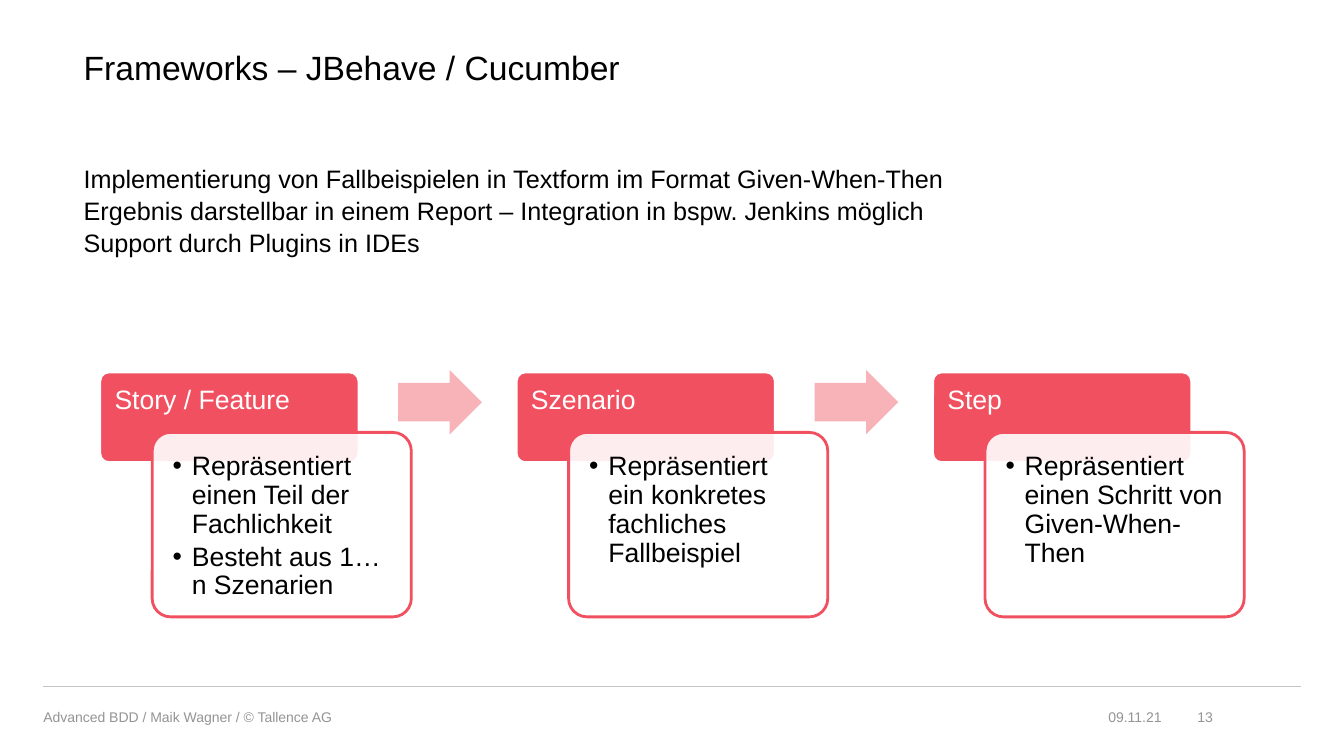
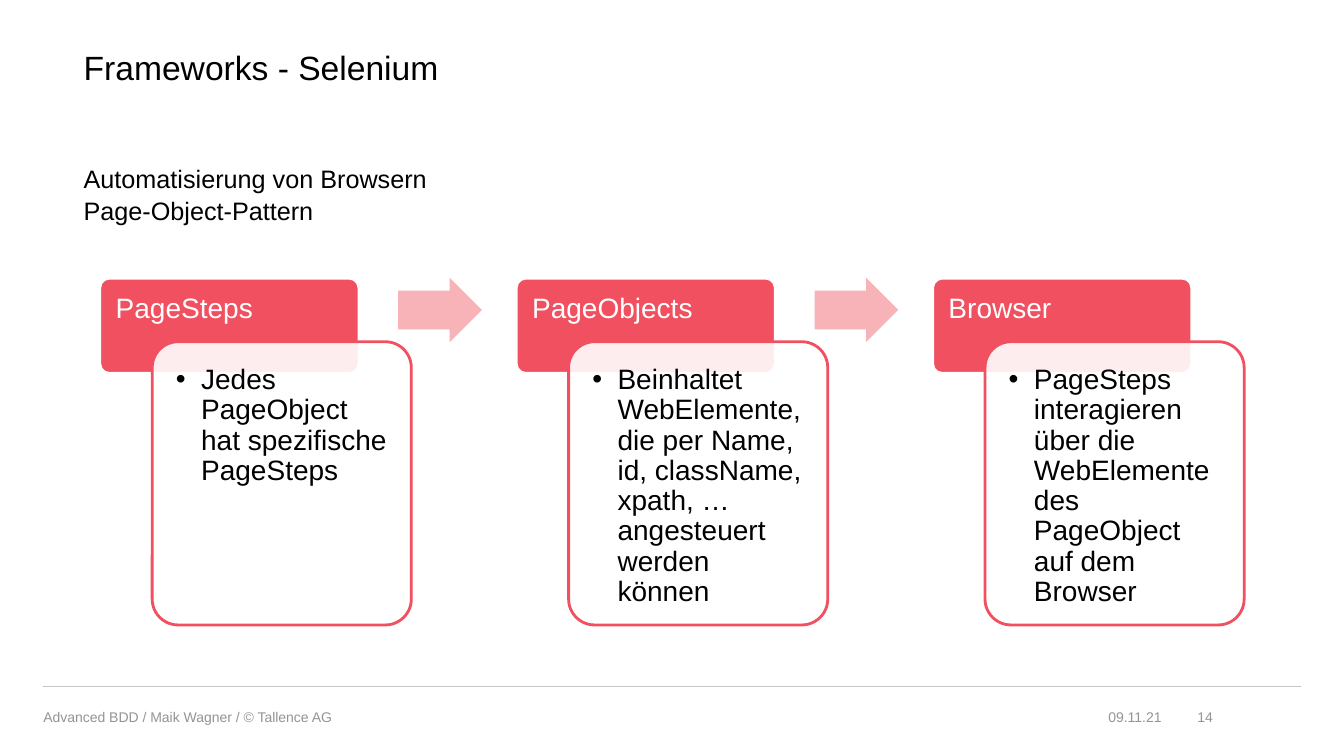
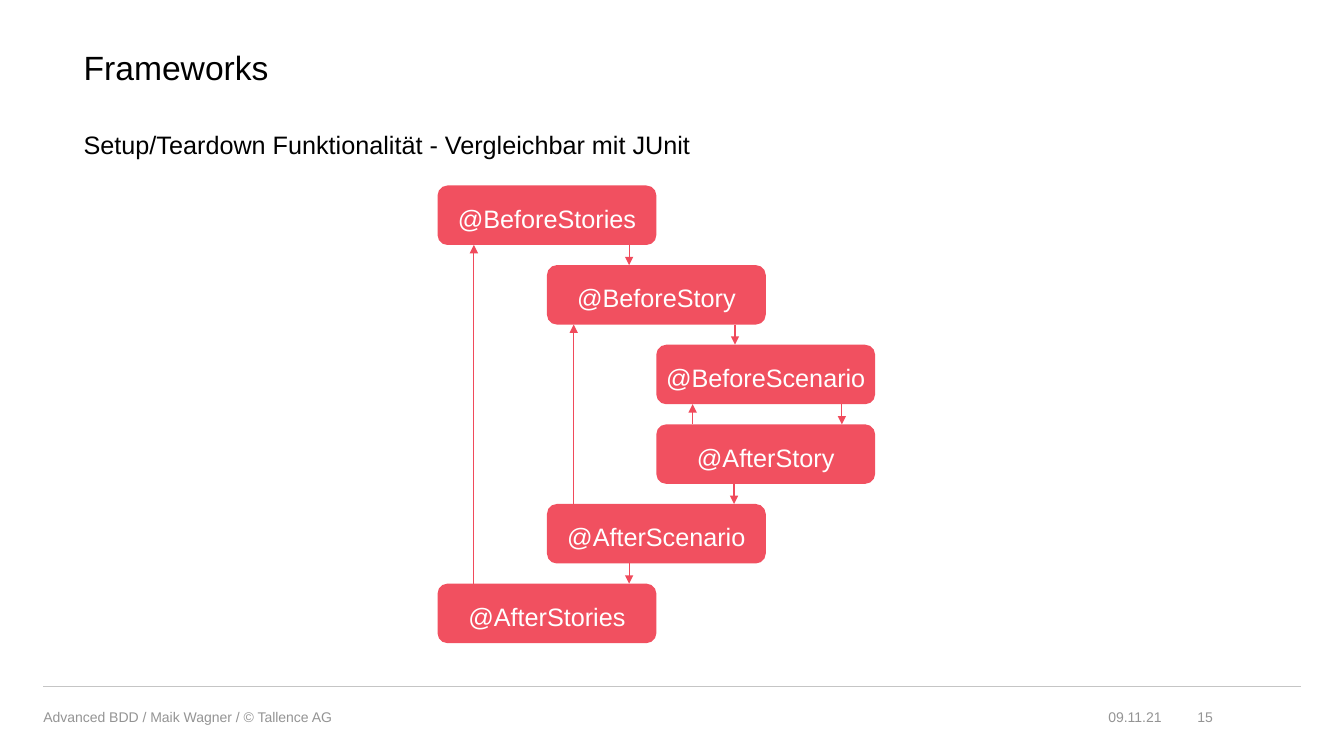
from lxml.etree import SubElement
from pptx import Presentation
from pptx.dml.color import RGBColor
from pptx.enum.shapes import MSO_CONNECTOR, MSO_SHAPE
from pptx.enum.text import MSO_ANCHOR, PP_ALIGN
from pptx.oxml.ns import qn
from pptx.util import Inches, Pt

# Shared style
FONT = "Arial"
BLACK = RGBColor(0x00, 0x00, 0x00)
WHITE = RGBColor(0xFF, 0xFF, 0xFF)
RED = RGBColor(0xF1, 0x50, 0x60)
PINK = RGBColor(0xF7, 0xB3, 0xB7)
ARROW_RED = RGBColor(0xF0, 0x4A, 0x5B)
RULE_GREY = RGBColor(0xC5, 0xC5, 0xC5)
FOOTER_GREY = RGBColor(0x94, 0x94, 0x94)
LEFT, MARGIN, RIGHT = 0.83, 0.43, 12.9
FOOTER = "Advanced BDD / Maik Wagner / © Tallence AG"
DATE = "09.11.21"
FIRST_NUMBER = 13

# Content: step flows are (heading, bullets) from left to right
SLIDES = [
    {"title": "Frameworks – JBehave / Cucumber",
     "body": ["Implementierung von Fallbeispielen in Textform im Format Given-When-Then",
              "Ergebnis darstellbar in einem Report – Integration in bspw. Jenkins möglich",
              "Support durch Plugins in IDEs"],
     "body_top": 1.61,
     "flow": [("Story / Feature", ["Repräsentiert einen Teil der Fachlichkeit",
                                   "Besteht aus 1…n Szenarien"]),
              ("Szenario", ["Repräsentiert ein konkretes fachliches Fallbeispiel"]),
              ("Step", ["Repräsentiert einen Schritt von Given-When-Then"])],
     "layout": {"top": 3.69, "lip": 0.6, "card_h": 1.83, "size": 19,
                "inset": 0.15, "indent": 0.19}},
    {"title": "Frameworks - Selenium",
     "body": ["Automatisierung von Browsern", "Page-Object-Pattern"],
     "body_top": 1.61,
     "flow": [("PageSteps", ["Jedes PageObject hat spezifische PageSteps"]),
              ("PageObjects", ["Beinhaltet WebElemente, die per Name, id, className, "
                               "xpath, … angesteuert werden können"]),
              ("Browser", ["PageSteps interagieren über die WebElemente des "
                           "PageObject auf dem Browser"])],
     "layout": {"top": 2.76, "lip": 0.63, "card_h": 2.81, "size": 20,
                "inset": 0.16, "indent": 0.25}},
    {"title": "Frameworks",
     "body": ["Setup/Teardown Funktionalität - Vergleichbar mit JUnit"],
     "body_top": 1.27,
     "hooks": True},
]

# Annotations by row, with their indent column
HOOKS = [("@BeforeStories", 0), ("@BeforeStory", 1), ("@BeforeScenario", 2),
         ("@AfterStory", 2), ("@AfterScenario", 1), ("@AfterStories", 0)]
# Arrows: from row, to row, x
HOOK_ARROWS = [(0, 1, 6.24), (1, 2, 7.29), (2, 3, 8.35), (3, 4, 7.28), (4, 5, 6.24),
               (5, 0, 4.7), (4, 1, 5.69), (3, 2, 6.87)]


def write(sp, lines, size=18, color=BLACK, align=PP_ALIGN.LEFT, anchor=MSO_ANCHOR.TOP,
          insets=(0, 0, 0, 0), spacing=1.0, after=0, indent=None):
    """Fill a shape with one paragraph per line; an indent adds bullets."""
    tf = sp.text_frame
    tf.word_wrap = True
    tf.vertical_anchor = anchor
    tf.margin_left, tf.margin_top, tf.margin_right, tf.margin_bottom = map(Inches, insets)
    for i, line in enumerate(lines):
        p = tf.paragraphs[0] if i == 0 else tf.add_paragraph()
        p.alignment, p.line_spacing, p.space_after = align, spacing, Pt(after)
        if indent:
            pPr = p._p.get_or_add_pPr()
            pPr.set("marL", str(Inches(indent)))
            pPr.set("indent", str(-Inches(indent)))
            SubElement(pPr, qn("a:buFont")).set("typeface", FONT)
            SubElement(pPr, qn("a:buChar")).set("char", "•")
        r = p.add_run()
        r.text = line
        r.font.name, r.font.size, r.font.color.rgb = FONT, Pt(size), color


def add_text(s, x, y, w, h, lines, **fmt):
    write(s.shapes.add_textbox(*map(Inches, (x, y, w, h))), lines, **fmt)


def add_box(s, kind, x, y, w, h, fill, line=None, adjust=(), opacity=None):
    sp = s.shapes.add_shape(kind, *map(Inches, (x, y, w, h)))
    sp.shadow.inherit = False
    for i, value in enumerate(adjust):
        sp.adjustments[i] = value
    sp.fill.solid()
    sp.fill.fore_color.rgb = fill
    if opacity:
        clr = sp.fill._xPr.find(".//" + qn("a:srgbClr"))
        SubElement(clr, qn("a:alpha")).set("val", str(opacity * 1000))
    if line is None:
        sp.line.fill.background()
    else:
        sp.line.color.rgb, sp.line.width = line, Pt(2)
    return sp


def add_line(s, x1, y1, x2, y2, color, width, arrow=False):
    cn = s.shapes.add_connector(MSO_CONNECTOR.STRAIGHT, *map(Inches, (x1, y1, x2, y2)))
    cn.line.color.rgb, cn.line.width = color, Pt(width)
    if arrow:
        SubElement(cn.line._get_or_add_ln(), qn("a:tailEnd")).set("type", "triangle")
    SubElement(cn._element.spPr, qn("a:effectLst"))


def add_frame(s, data, number):
    """Title, body text, rule and footer."""
    add_line(s, MARGIN, 6.81, RIGHT, 6.81, RULE_GREY, 0.5)
    add_text(s, LEFT, 0.51, RIGHT - LEFT, 0.36, [data["title"]], size=24, spacing=0.9)
    add_text(s, LEFT, data["body_top"], RIGHT - LEFT, 1.2 if "flow" in data else 0.4,
             data["body"], spacing=1.05)
    for x, w, text, align in [(MARGIN, 6.07, FOOTER, PP_ALIGN.LEFT),
                              (10.77, 0.75, DATE, PP_ALIGN.RIGHT),
                              (11.72, 0.31, str(number), PP_ALIGN.RIGHT)]:
        add_text(s, x, 6.92, w, 0.39, [text], size=10, color=FOOTER_GREY,
                 align=align, anchor=MSO_ANCHOR.MIDDLE)


def add_flow(s, steps, top, lip, card_h, size, inset, indent):
    """Red headings with overlapping cards, joined by block arrows."""
    left, pitch, w, card_dx = 0.99, 4.13, 2.57, 0.52
    arrow_dx, arrow_w, arrow_h = 2.96, 0.83, 0.64
    corner = 0.03  # text inset that the rounded corner already gives
    for i, (heading, bullets) in enumerate(steps):
        x = left + i * pitch
        sp = add_box(s, MSO_SHAPE.ROUNDED_RECTANGLE, x, top, w, 1.5 * lip, RED, WHITE, [0.1])
        write(sp, [heading], size=size, color=WHITE, spacing=0.9,
              insets=[inset - corner] * 3 + [0.08])
        sp = add_box(s, MSO_SHAPE.ROUNDED_RECTANGLE, x + card_dx, top + lip, w, card_h,
                     WHITE, RED, [0.1], opacity=90)
        write(sp, bullets, size=size, spacing=0.9, after=0.15 * size,
              insets=[inset] * 4, indent=indent)
        if i < len(steps) - 1:
            add_box(s, MSO_SHAPE.RIGHT_ARROW, x + arrow_dx, top + (lip - arrow_h) / 2,
                    arrow_w, arrow_h, PINK, adjust=[0.6, 0.5])


def add_hooks(s):
    """Staircase of annotations with the arrows between rows."""
    left, top, w, h, row_pitch = 4.34, 1.84, 2.17, 0.59, 0.79
    for row, (name, col) in enumerate(HOOKS):
        sp = add_box(s, MSO_SHAPE.FLOWCHART_ALTERNATE_PROCESS, left + col * w / 2,
                     top + row * row_pitch, w, h, RED)
        write(sp, [name], color=WHITE, align=PP_ALIGN.CENTER, anchor=MSO_ANCHOR.MIDDLE,
              insets=[0.04] * 4, spacing=1.2, after=10)
    for start, end, x in HOOK_ARROWS:
        down = end > start
        y1 = top + start * row_pitch + (h if down else 0)
        y2 = top + end * row_pitch + (0 if down else h)
        add_line(s, x, y1, x, y2, ARROW_RED, 0.75, arrow=True)


def main():
    prs = Presentation()
    prs.slide_width, prs.slide_height = Inches(13.33), Inches(7.5)
    for number, data in enumerate(SLIDES, FIRST_NUMBER):
        s = prs.slides.add_slide(prs.slide_layouts[6])
        add_frame(s, data, number)
        if "flow" in data:
            add_flow(s, data["flow"], **data["layout"])
        if "hooks" in data:
            add_hooks(s)
    prs.save("out.pptx")


if __name__ == "__main__":
    main()
